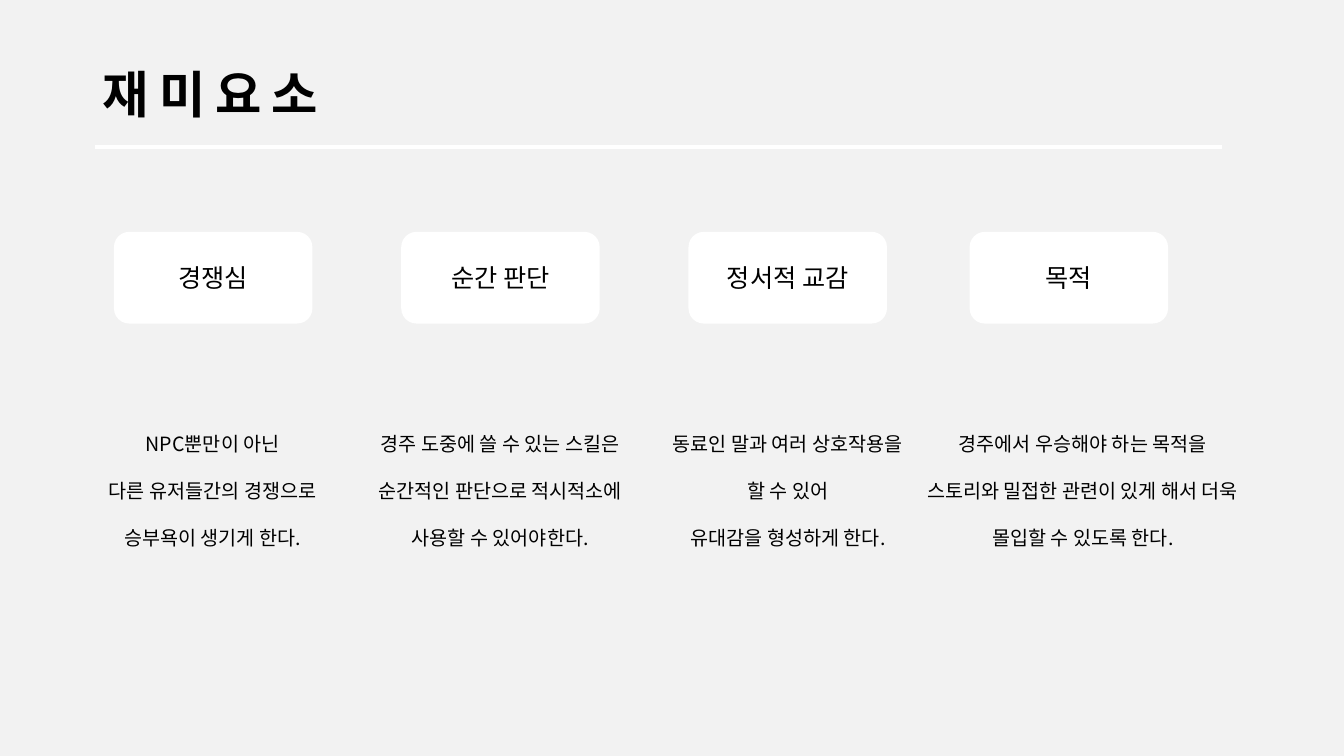
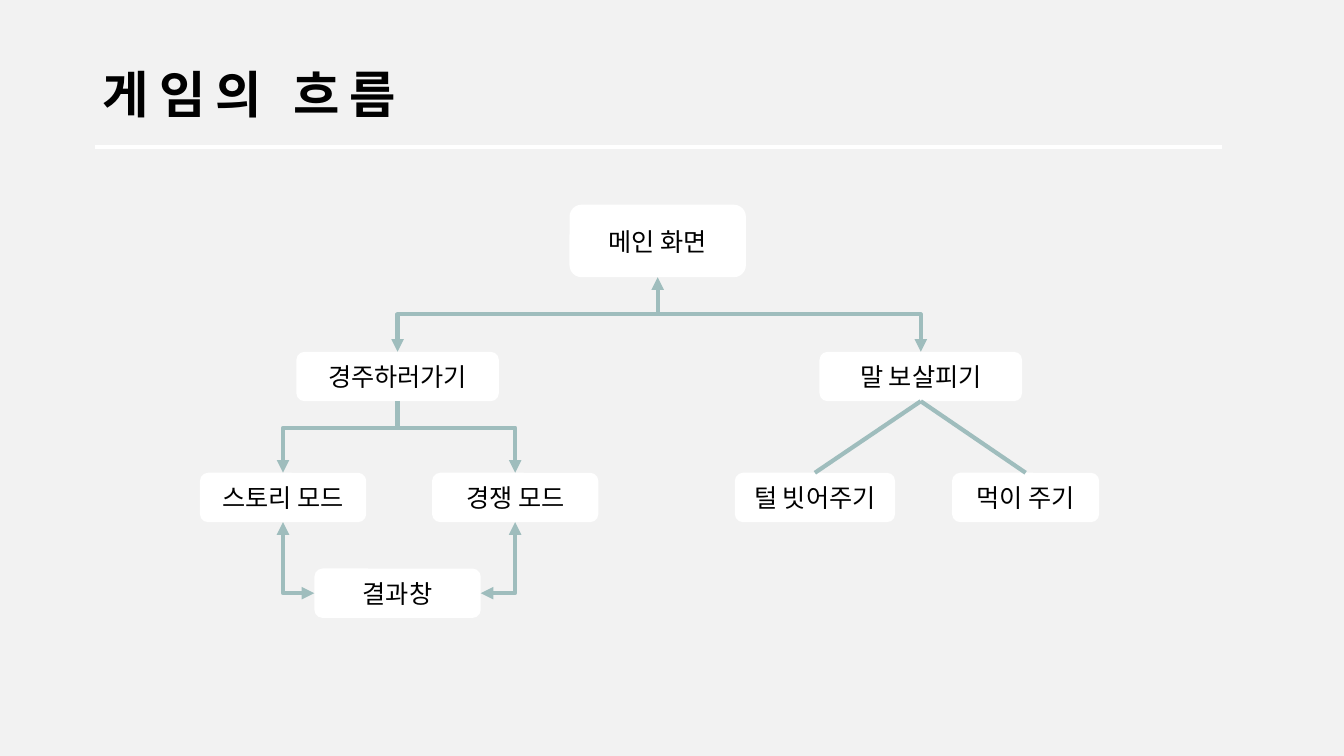
"""Build two slides on a horse racing game: its fun factors and its flow."""
from lxml.etree import SubElement
from pptx import Presentation
from pptx.dml.color import RGBColor
from pptx.enum.shapes import MSO_CONNECTOR, MSO_SHAPE
from pptx.enum.text import MSO_ANCHOR, MSO_AUTO_SIZE, PP_ALIGN
from pptx.oxml.ns import qn
from pptx.util import Pt

FONT = "Noto Sans CJK KR"
BACKGROUND, WHITE, BLACK, TEAL = "F2F2F2", "FFFFFF", "000000", "9FBDBD"
TITLE_BOX = (66.2, 41.8, 289.4, 51.1)
RULE = ((67.7, 105.1), (872.6, 105.1))
LINE_WIDTH = 3

FACTORS_TITLE = "재미요소"
CARD_TOP, CARD_WIDTH, CARD_HEIGHT = 165.6, 141.8, 65.5
DETAIL_LEFT, DETAIL_TOP, DETAIL_HEIGHT = 60.5, 288, 108
FACTORS = [
    ("경쟁심", 81.4, 182.9, ["NPC뿐만이 아닌", "다른 유저들간의 경쟁으로 승부욕이 생기게 한다."]),
    ("순간 판단", 286.6, 228, ["경주 도중에 쓸 수 있는 스킬은 순간적인 판단으로 적시적소에 사용할 수 있어야한다."]),
    ("정서적 교감", 491.8, 182.9, ["동료인 말과 여러 상호작용을 할 수 있어", "유대감을 형성하게 한다."]),
    ("목적", 692.6, 238.3, ["경주에서 우승해야 하는 목적을 스토리와 밀접한 관련이 있게 해서 더욱 몰입할 수 있도록 한다."]),
]

FLOW_TITLE = "게임의 흐름"
NODE_HEIGHT, MODE_TOP = 35.3, 337.7
NODES = {
    "main": ("메인 화면", 469.8, 146.2, 126, 51.8),
    "race": ("경주하러가기", 284, 251.3, 144.7, NODE_HEIGHT),
    "care": ("말 보살피기", 657.7, 251.3, 144.7, NODE_HEIGHT),
    "story": ("스토리 모드", 202.2, MODE_TOP, 118.8, NODE_HEIGHT),
    "versus": ("경쟁 모드", 368, MODE_TOP, 118.8, NODE_HEIGHT),
    "result": ("결과창", 284, 406.1, 118.8, NODE_HEIGHT),
    "brush": ("털 빗어주기", 582.1, MODE_TOP, 114.5, NODE_HEIGHT),
    "feed": ("먹이 주기", 732.6, MODE_TOP, 105.1, NODE_HEIGHT),
}
FORKS = [("main", 224.6, ("race", "care"), True), ("race", 305.6, ("story", "versus"), False)]
CARE_TASKS = ("brush", "feed")
RESULT_SOURCES = [("story", -1), ("versus", 1)]


def color(value):
    """Turn a hex string into a colour."""
    return RGBColor.from_string(value)


def style_font(font, size, bold=False, spacing=None):
    """Apply the shared typeface to a font."""
    font.size, font.bold, font.name = Pt(size), bold, FONT
    font.color.rgb = color(BLACK)
    properties = font._element
    SubElement(properties, qn("a:ea")).set("typeface", FONT)
    if spacing:
        properties.set("spc", str(round(spacing * 100)))


def write(frame, paragraphs, size=18, align=PP_ALIGN.CENTER, line_spacing=None,
          anchor=MSO_ANCHOR.MIDDLE, bold=False, spacing=None):
    """Fill a text frame with equally formatted paragraphs."""
    frame.word_wrap = True
    frame.auto_size = MSO_AUTO_SIZE.NONE
    frame.vertical_anchor = anchor
    for index, text in enumerate(paragraphs):
        paragraph = frame.add_paragraph() if index else frame.paragraphs[0]
        paragraph.alignment = align
        paragraph.line_spacing = line_spacing
        run = paragraph.add_run()
        run.text = text
        style_font(run.font, size, bold, spacing)


def add_card(slide, text, left, top, width, height):
    """Add a white rounded box with a centred label."""
    shape = slide.shapes.add_shape(
        MSO_SHAPE.ROUNDED_RECTANGLE, Pt(left), Pt(top), Pt(width), Pt(height))
    shape.shadow.inherit = False
    shape.fill.solid()
    shape.fill.fore_color.rgb = color(WHITE)
    shape.line.fill.background()
    write(shape.text_frame, [text])
    return shape


def add_line(slide, start, end, line_color=TEAL, elbow=False, head=False, tail=False):
    """Add a straight line, or an elbow that leaves its start horizontally."""
    kind = MSO_CONNECTOR.ELBOW if elbow else MSO_CONNECTOR.STRAIGHT
    connector = slide.shapes.add_connector(kind, *(Pt(value) for value in (*start, *end)))
    connector.line.color.rgb = color(line_color)
    connector.line.width = Pt(LINE_WIDTH)
    properties = connector._element.spPr
    if elbow:
        properties.find(qn("a:prstGeom")).set("prst", "bentConnector2")
    for name, shown in (("a:headEnd", head), ("a:tailEnd", tail)):
        if shown:
            SubElement(properties.find(qn("a:ln")), qn(name)).set("type", "triangle")
    SubElement(properties, qn("a:effectLst"))
    return connector


def add_slide(presentation, title):
    """Add a slide with the shared title and rule."""
    slide = presentation.slides.add_slide(presentation.slide_layouts[5])
    shape = slide.shapes.title
    shape.left, shape.top, shape.width, shape.height = (Pt(value) for value in TITLE_BOX)
    write(shape.text_frame, [title], size=36, align=PP_ALIGN.LEFT,
          anchor=MSO_ANCHOR.TOP, bold=True, spacing=7.2)
    add_line(slide, *RULE, line_color=WHITE)
    return slide


def build_factors(presentation):
    """Build the slide of fun factors."""
    slide = add_slide(presentation, FACTORS_TITLE)
    detail_left = DETAIL_LEFT
    for name, card_left, detail_width, details in FACTORS:
        add_card(slide, name, card_left, CARD_TOP, CARD_WIDTH, CARD_HEIGHT)
        box = slide.shapes.add_textbox(
            Pt(detail_left), Pt(DETAIL_TOP), Pt(detail_width), Pt(DETAIL_HEIGHT))
        write(box.text_frame, details, size=14, line_spacing=2.0, anchor=MSO_ANCHOR.TOP)
        detail_left += detail_width


def build_flow(presentation):
    """Build the slide of the game flow."""
    slide = add_slide(presentation, FLOW_TITLE)
    cards, tops, bottoms = {}, {}, {}
    for key, (text, center, top, width, height) in NODES.items():
        cards[key] = add_card(slide, text, center - width / 2, top, width, height)
        tops[key], bottoms[key] = (center, top), (center, top + height)

    for parent, junction_y, children, returns in FORKS:
        junction = (tops[parent][0], junction_y)
        stem = add_line(slide, bottoms[parent], junction, head=returns)
        stem.begin_connect(cards[parent], 2)
        for child in children:
            add_line(slide, junction, tops[child], elbow=True, tail=True)

    for task in CARE_TASKS:
        branch = add_line(slide, bottoms["care"], tops[task])
        branch.begin_connect(cards["care"], 2)
        branch.end_connect(cards[task], 0)

    _, center, top, width, height = NODES["result"]
    for source, side in RESULT_SOURCES:
        start = (center + side * width / 2, top + height / 2)
        add_line(slide, start, bottoms[source], elbow=True, head=True, tail=True)


def main():
    """Create and save the presentation."""
    presentation = Presentation()
    presentation.slide_width, presentation.slide_height = Pt(960), Pt(540)
    background = presentation.slide_master.background.fill
    background.solid()
    background.fore_color.rgb = color(BACKGROUND)
    build_factors(presentation)
    build_flow(presentation)
    presentation.save("out.pptx")


if __name__ == "__main__":
    main()
